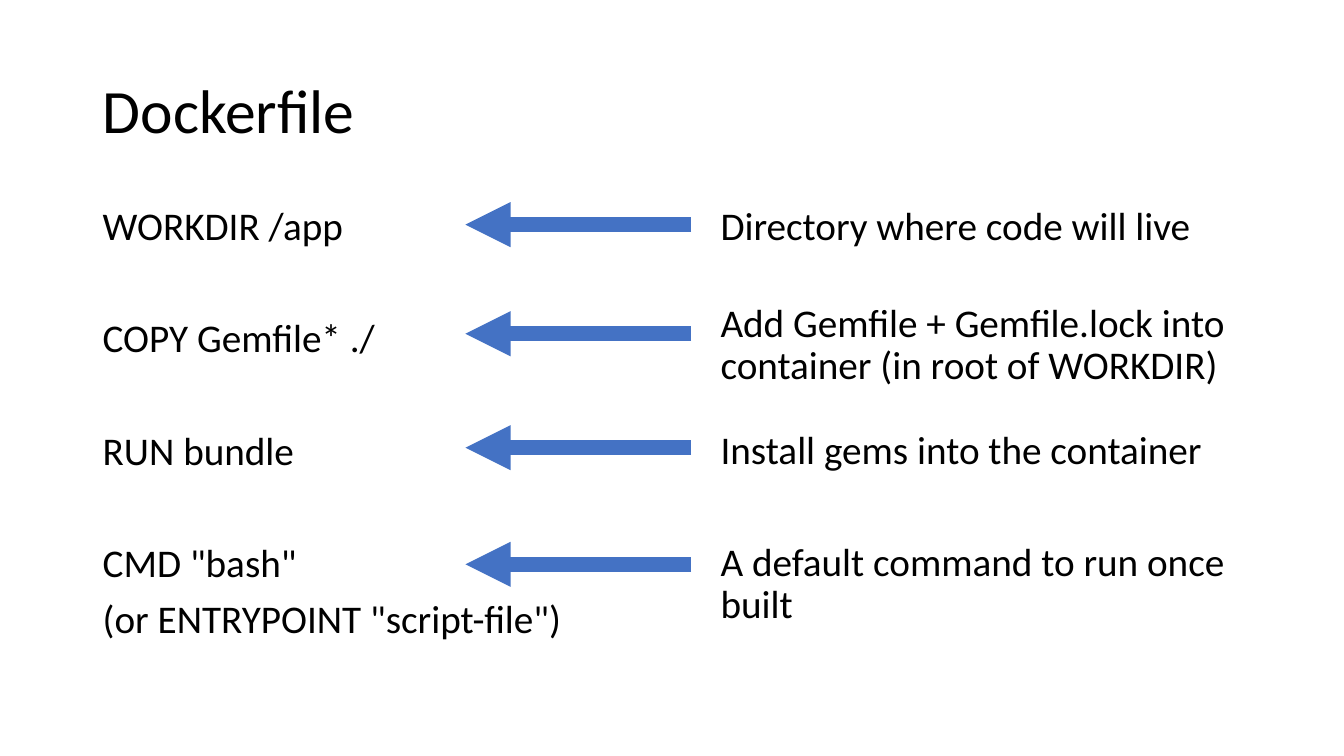
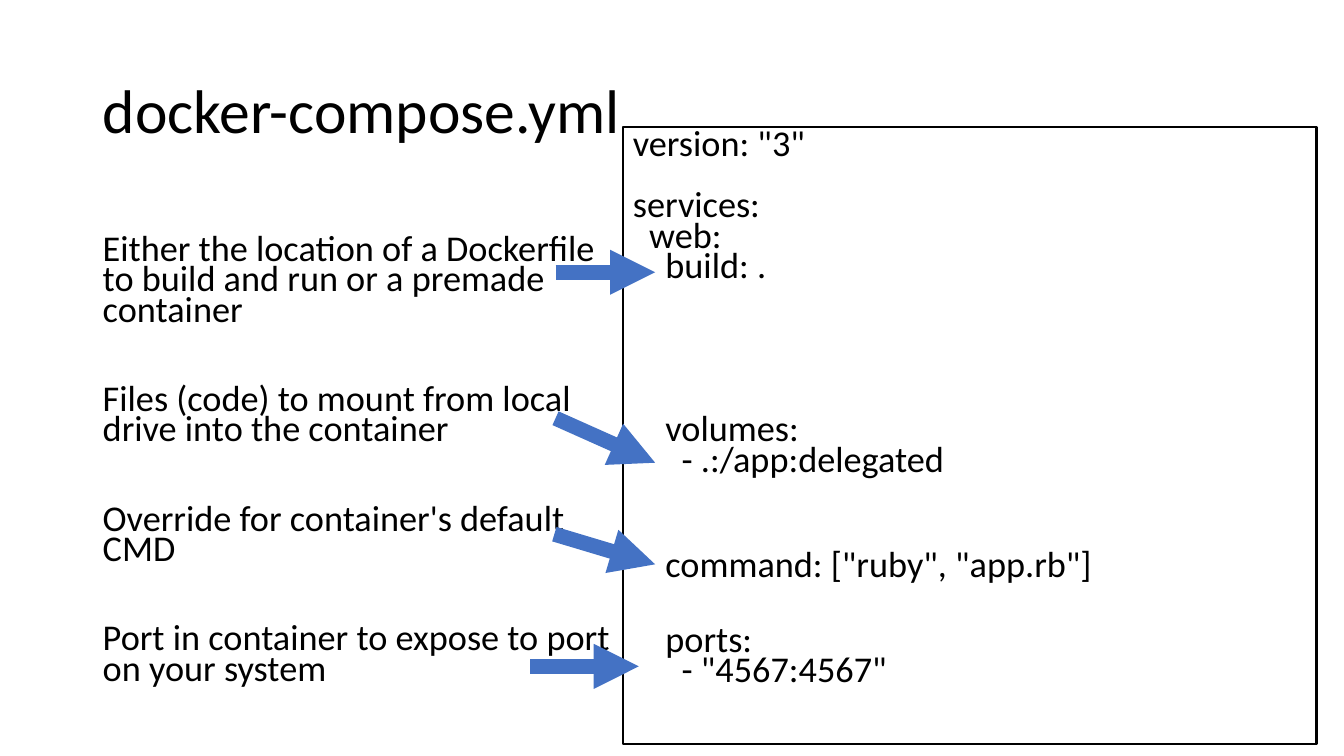
from lxml.etree import SubElement
from pptx import Presentation
from pptx.dml.color import RGBColor
from pptx.enum.shapes import MSO_CONNECTOR as Connector
from pptx.enum.text import MSO_ANCHOR as Anchor
from pptx.oxml.ns import qn
from pptx.util import Cm, Pt

COLORS = {"text": "000000", "arrow": "4472C4"}
FONT = "Calibri"
TITLE_AREA = (2.34, 1.02, 29.21, 3.68)
INDENT_STEP = 0.41
STYLES = {
    "title": {"size": 44, "spacing": 0.9, "anchor": Anchor.MIDDLE},
    "body": {"size": 28, "spacing": 0.9, "anchor": Anchor.TOP},
    "dense": {"size": 25.9, "spacing": 0.7, "anchor": Anchor.TOP},
}

dockerfile_slide = {
    "title": "Dockerfile",
    "columns": [
        {"area": (2.34, 5.08, 15.82, 12.09), "style": "body", "framed": False, "lines": [
            ("WORKDIR /app", 0, 0),
            ("COPY Gemfile* ./", 50, 0),
            ("RUN bundle", 50, 0),
            ('CMD "bash"', 50, 0),
            ('(or ENTRYPOINT "script-file")', 10, 0),
        ]},
        {"area": (17.91, 5.08, 13.64, 12.09), "style": "body", "framed": False, "lines": [
            ("Directory where code will live", 0, 0),
            ("Add Gemfile + Gemfile.lock into container (in root of WORKDIR)", 39, 0),
            ("Install gems into the container", 30, 0),
            ("A default command to run once built", 50, 0),
        ]},
    ],
    "arrows": [(17.42, y, 11.73, y) for y in (5.66, 8.41, 11.28, 14.22)],
}

compose_slide = {
    "title": "docker-compose.yml",
    "columns": [
        {"area": (2.34, 5.84, 13.36, 12.2), "style": "dense", "framed": False, "lines": [
            ("Either the location of a Dockerfile to build and run or a premade container", 0, 0),
            ("Files (code) to mount from local drive into the container", 42, 0),
            ("Override for container's default CMD", 42, 0),
            ("Port in container to expose to port on your system", 42, 0),
        ]},
        {"area": (15.7, 3.2, 17.48, 15.54), "style": "dense", "framed": True, "lines": [
            ('version: "3"', 0, 0),
            ("services:", 22, 0),
            ("web:", 0, 1),
            ("build: .", 0, 2),
            ("volumes:", 95, 2),
            ("- .:/app:delegated", 0, 3),
            ('command: ["ruby", "app.rb"]', 53.5, 2),
            ("ports:", 31.5, 2),
            ('- "4567:4567"', 0, 3),
        ]},
    ],
    "arrows": [
        (14, 6.86, 16.51, 6.86),
        (14, 10.54, 16.51, 11.66),
        (13.97, 13.46, 16.51, 14.22),
        (13.36, 16.79, 16.1, 16.79),
    ],
}


def add_text(page, area, lines, style):
    box = page.shapes.add_textbox(*map(Cm, area))
    frame = box.text_frame
    frame.word_wrap = True
    frame.vertical_anchor = style["anchor"]
    for number, (text, gap, level) in enumerate(lines):
        para = frame.add_paragraph() if number else frame.paragraphs[0]
        para_format = {"line_spacing": style["spacing"], "space_before": Pt(gap)}
        for name, value in para_format.items():
            setattr(para, name, value)
        if level:
            para._p.get_or_add_pPr().set("marL", str(Cm(level * INDENT_STEP)))
        span = para.add_run()
        span.text = text
        for name, value in {"name": FONT, "size": Pt(style["size"])}.items():
            setattr(span.font, name, value)
        span.font.color.rgb = RGBColor.from_string(COLORS["text"])
    return box


def add_arrow(page, ends):
    arrow = page.shapes.add_connector(Connector.STRAIGHT, *map(Cm, ends))
    arrow.line.width = Pt(10.75)
    arrow.line.color.rgb = RGBColor.from_string(COLORS["arrow"])
    SubElement(arrow.line._get_or_add_ln(), qn("a:tailEnd"), type="triangle")
    SubElement(arrow._element.spPr, qn("a:effectLst"))


deck = Presentation()
deck.slide_width, deck.slide_height = Cm(33.87), Cm(19.05)

for content in (dockerfile_slide, compose_slide):
    page = deck.slides.add_slide(deck.slide_layouts[6])
    add_text(page, TITLE_AREA, [(content["title"], 0, 0)], STYLES["title"])
    for column in content["columns"]:
        box = add_text(page, column["area"], column["lines"], STYLES[column["style"]])
        if column["framed"]:
            box.line.color.rgb = RGBColor.from_string(COLORS["text"])
            box.line.width = Pt(1.5)
    for ends in content["arrows"]:
        add_arrow(page, ends)

deck.save("out.pptx")
